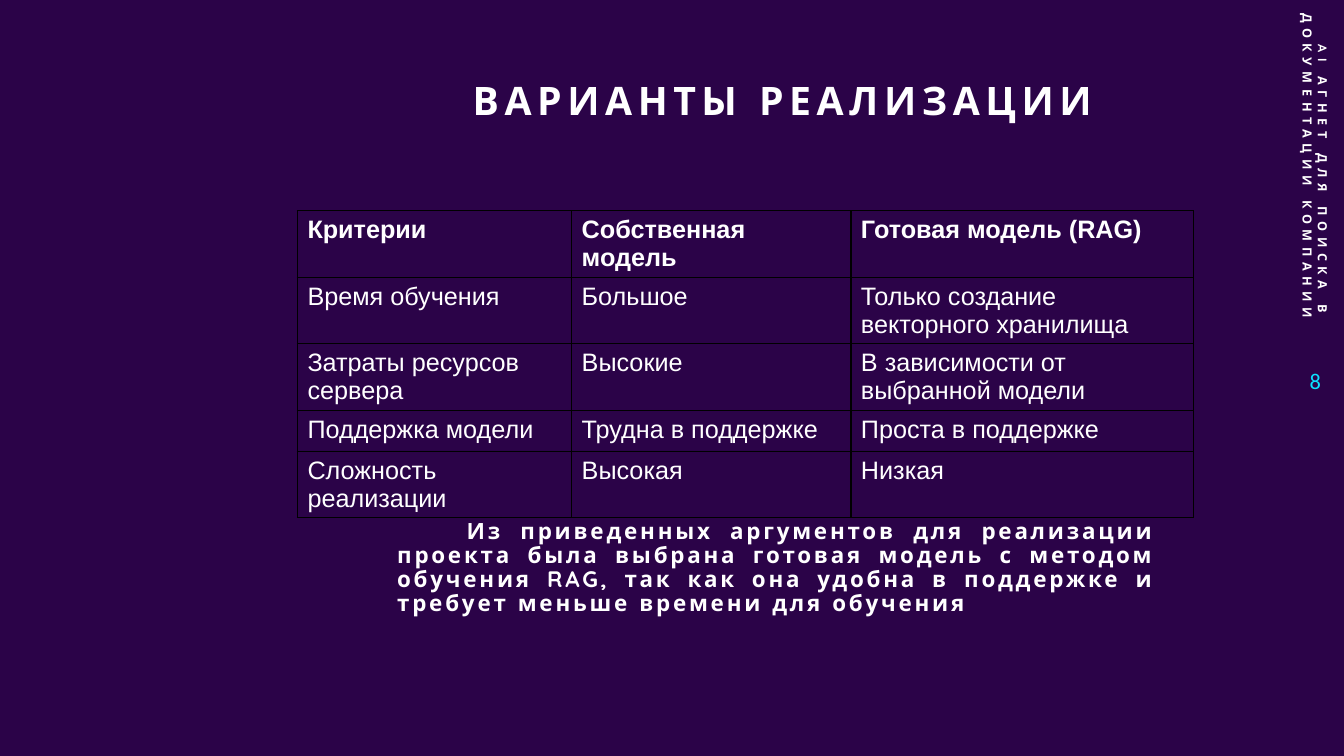
import pptx
import pptx.util
import pptx.dml.color
import pptx.enum.text
import pptx.oxml

WHITE = pptx.dml.color.RGBColor(0xFF, 0xFF, 0xFF)
CYAN = pptx.dml.color.RGBColor(0x0B, 0xE1, 0xFF)
PURPLE = pptx.dml.color.RGBColor(0x2B, 0x03, 0x48)
BLACK = pptx.dml.color.RGBColor(0x00, 0x00, 0x00)

ALIGN = pptx.enum.text.PP_ALIGN
ANCHOR = pptx.enum.text.MSO_ANCHOR
NS = 'xmlns:a="http://schemas.openxmlformats.org/drawingml/2006/main"'

ROWS = [
    ["Критерии", "Собственная модель", "Готовая модель (RAG)"],
    ["Время обучения", "Большое", "Только создание векторного хранилища"],
    ["Затраты ресурсов сервера", "Высокие", "В зависимости от выбранной модели"],
    ["Поддержка модели", "Трудна в поддержке", "Проста в поддержке"],
    ["Сложность реализации", "Высокая", "Низкая"],
]


def write(frame, text, size=18, font="Quicksand", color=WHITE, bold=False,
          space=0, align=ALIGN.LEFT, line=None, indent=0):
    para = frame.paragraphs[0]
    para.alignment = align
    if line:
        para.line_spacing = line
    if indent:
        para._p.get_or_add_pPr().set("indent", str(pptx.util.Inches(indent)))
    run = para.add_run()
    run.text = text
    run.font.size = pptx.util.Pt(size)
    run.font.name = font
    run.font.bold = bold
    run.font.color.rgb = color
    if space:
        run.font._element.set("spc", str(space * 100))


class Deck:
    """Draws styled elements on a grid of 0.1 inch columns and rows."""

    def __init__(self, cols, rows):
        self.unit = pptx.util.Inches(0.1)
        self.show = pptx.Presentation()
        self.show.slide_width = self.grid(cols)
        self.show.slide_height = self.grid(rows)
        self.slide = self.show.slides.add_slide(self.show.slide_layouts[6])
        back = self.slide.background.fill
        back.solid()
        back.fore_color.rgb = PURPLE

    def grid(self, count):
        return round(count * self.unit)

    def text(self, place, words, turn=0, anchor=ANCHOR.TOP, **style):
        box = self.slide.shapes.add_textbox(*map(self.grid, place))
        box.rotation = turn
        box.text_frame.word_wrap = True
        box.text_frame.vertical_anchor = anchor
        write(box.text_frame, words, **style)

    def border(self, cell):
        props = cell._tc.get_or_add_tcPr()
        for side in "LRTB":
            props.append(pptx.oxml.parse_xml(
                f'<a:ln{side} {NS} w="{pptx.util.Pt(1)}"><a:solidFill>'
                f'<a:srgbClr val="{BLACK}"/></a:solidFill></a:ln{side}>'))

    def table(self, left, top, widths, height, rows):
        place = (left, top, sum(widths), height * len(rows))
        table = self.slide.shapes.add_table(
            len(rows), len(widths), *map(self.grid, place)).table
        for col, width in zip(table.columns, widths):
            col.width = self.grid(width)
        for r, row in enumerate(rows):
            for c, words in enumerate(row):
                cell = table.cell(r, c)
                cell.margin_bottom = self.grid(0.1)
                self.border(cell)
                cell.fill.solid()
                cell.fill.fore_color.rgb = PURPLE
                write(cell.text_frame, words, font="Arial", bold=r == 0)


def main():
    deck = Deck(133.3, 75)
    deck.text((45.9, 7.6, 64.4, 6.3), "ВАРИАНТЫ РЕАЛИЗАЦИИ",
              size=28, bold=True, space=4, line=0.9)
    deck.text((126, 34.6, 6, 6.3), "8", size=16, font="Calibri", color=CYAN,
              align=ALIGN.RIGHT, anchor=ANCHOR.MIDDLE)
    deck.text((114.2, 14.3, 32.5, 4), "AI АГНЕТ ДЛЯ ПОИСКА В ДОКУМЕНТАЦИИ КОМПАНИИ",
              turn=90, size=9, bold=True, space=4,
              align=ALIGN.RIGHT, anchor=ANCHOR.MIDDLE)
    deck.table(29.5, 20.9, [27.2, 27.7, 34], 4.05, ROWS)
    deck.text((38.4, 51.1, 77.2, 15),
              "Из приведенных аргументов для реализации проекта была выбрана "
              "готовая модель с методом обучения RAG, так как она удобна в "
              "поддержке и требует меньше времени для обучения",
              size=16, bold=True, space=2, align=ALIGN.JUSTIFY, line=0.9, indent=0.69)
    deck.show.save("out.pptx")


if __name__ == "__main__":
    main()
